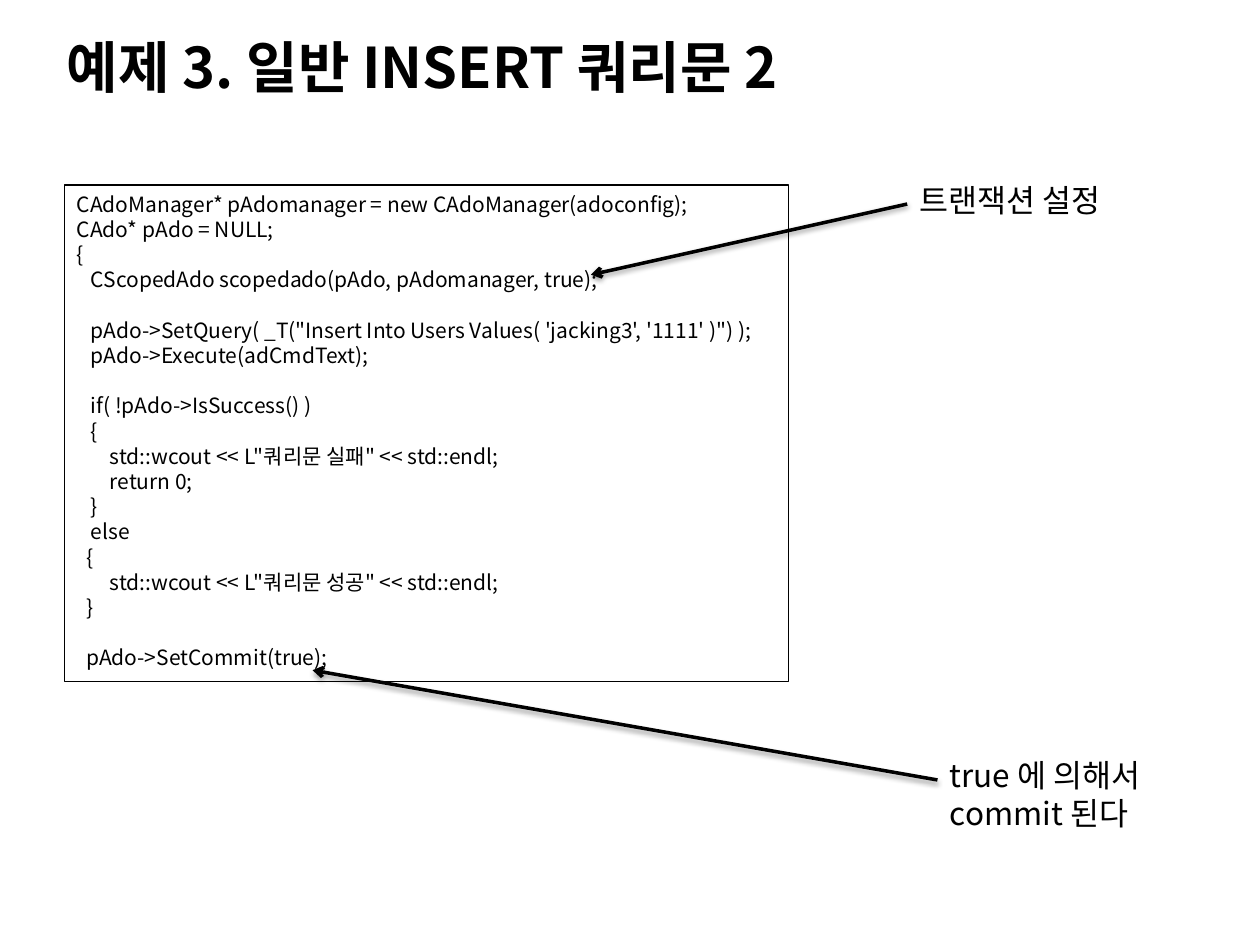
import pptx
import pptx.util
import pptx.dml.color
import pptx.enum.shapes
import pptx.enum.text
import pptx.oxml
from lxml import etree

Pt = pptx.util.Pt
BLACK = pptx.dml.color.RGBColor(0, 0, 0)
FONT = "Noto Sans CJK KR"
NS = "http://schemas.openxmlformats.org/drawingml/2006/main"
SPACE = 2.7  # width of one code indent step
SHADOW = (
    f'<a:effectLst xmlns:a="{NS}">'
    '<a:outerShdw blurRad="39400" dist="20300" dir="5400000" rotWithShape="0">'
    '<a:srgbClr val="000000"><a:alpha val="38000"/></a:srgbClr>'
    '</a:outerShdw></a:effectLst>'
)


def write(sp, lines, size, bold=False):
    """Fill a shape with lines given as (indent steps, blank lines before, text)."""
    tf = sp.text_frame
    tf.word_wrap = True
    tf.vertical_anchor = pptx.enum.text.MSO_ANCHOR.TOP
    for i, (indent, gap, text) in enumerate(lines):
        p = tf.paragraphs[0] if i == 0 else tf.add_paragraph()
        r = p.add_run()
        r.text = text
        p.alignment = pptx.enum.text.PP_ALIGN.LEFT
        p.line_spacing = Pt(size * 1.2)
        p.space_before = Pt(gap * size * 1.2)
        p.font.size = Pt(size)
        p.font.bold = bold
        p.font.name = FONT
        p.font.color.rgb = BLACK
        pPr = p._p.get_or_add_pPr()
        pPr.set("marL", str(Pt(indent * SPACE)))
        pPr.set("indent", "0")
        rPr = r._r.get_or_add_rPr()
        for tag in ("latin", "ea"):
            etree.SubElement(rPr, f"{{{NS}}}{tag}", typeface=FONT)


prs = pptx.Presentation()
prs.slide_width, prs.slide_height = Pt(720), Pt(540)
s = prs.slides.add_slide(prs.slide_layouts[6])

title = s.shapes.add_textbox(Pt(31), Pt(15), Pt(505), Pt(46))
write(title, [(0, 0, "예제 3. 일반 INSERT 쿼리문 2")], 32, True)

code = [
    (0, 0, "CAdoManager* pAdomanager = new CAdoManager(adoconfig);"),
    (0, 0, "CAdo* pAdo = NULL;"),
    (0, 0, "{"),
    (3, 0, "CScopedAdo scopedado(pAdo, pAdomanager, true);"),
    (3, 1, "pAdo->SetQuery( _T(\"Insert Into Users Values( 'jacking3', '1111' )\") );"),
    (3, 0, "pAdo->Execute(adCmdText);"),
    (3, 1, "if( !pAdo->IsSuccess() )"),
    (3, 0, "{"),
    (7, 0, 'std::wcout << L"쿼리문 실패" << std::endl;'),
    (7, 0, "return 0;"),
    (3, 0, "}"),
    (3, 0, "else"),
    (2, 0, "{"),
    (7, 0, 'std::wcout << L"쿼리문 성공" << std::endl;'),
    (2, 0, "}"),
    (2, 1, "pAdo->SetCommit(true);"),
]
box = s.shapes.add_shape(pptx.enum.shapes.MSO_SHAPE.RECTANGLE,
                         Pt(36.7), Pt(105.8), Pt(414), Pt(283.7))
box.shadow.inherit = False
box.fill.background()
box.line.color.rgb = BLACK
box.line.width = Pt(0.75)
write(box, code, 12)

# Each note: text, left, top, height, arrow start y, arrow tip
notes = [
    ("트랜잭션 설정", 518.4, 100, 29, 116.6, (337.7, 157)),
    ("true 에 의해서 commit 된다", 535.7, 428.4, 51, 445.7, (178.6, 383)),
]
for text, left, top, height, start, tip in notes:
    arrow = s.shapes.add_connector(pptx.enum.shapes.MSO_CONNECTOR.STRAIGHT,
                                   Pt(left), Pt(start), Pt(tip[0]), Pt(tip[1]))
    arrow.line.color.rgb = BLACK
    arrow.line.width = Pt(2)
    etree.SubElement(arrow.line._get_or_add_ln(), f"{{{NS}}}tailEnd", type="arrow")
    arrow._element.spPr.append(pptx.oxml.parse_xml(SHADOW))

    note = s.shapes.add_textbox(Pt(left), Pt(top), Pt(153.4), Pt(height))
    write(note, [(0, 0, text)], 18)

prs.save("out.pptx")
